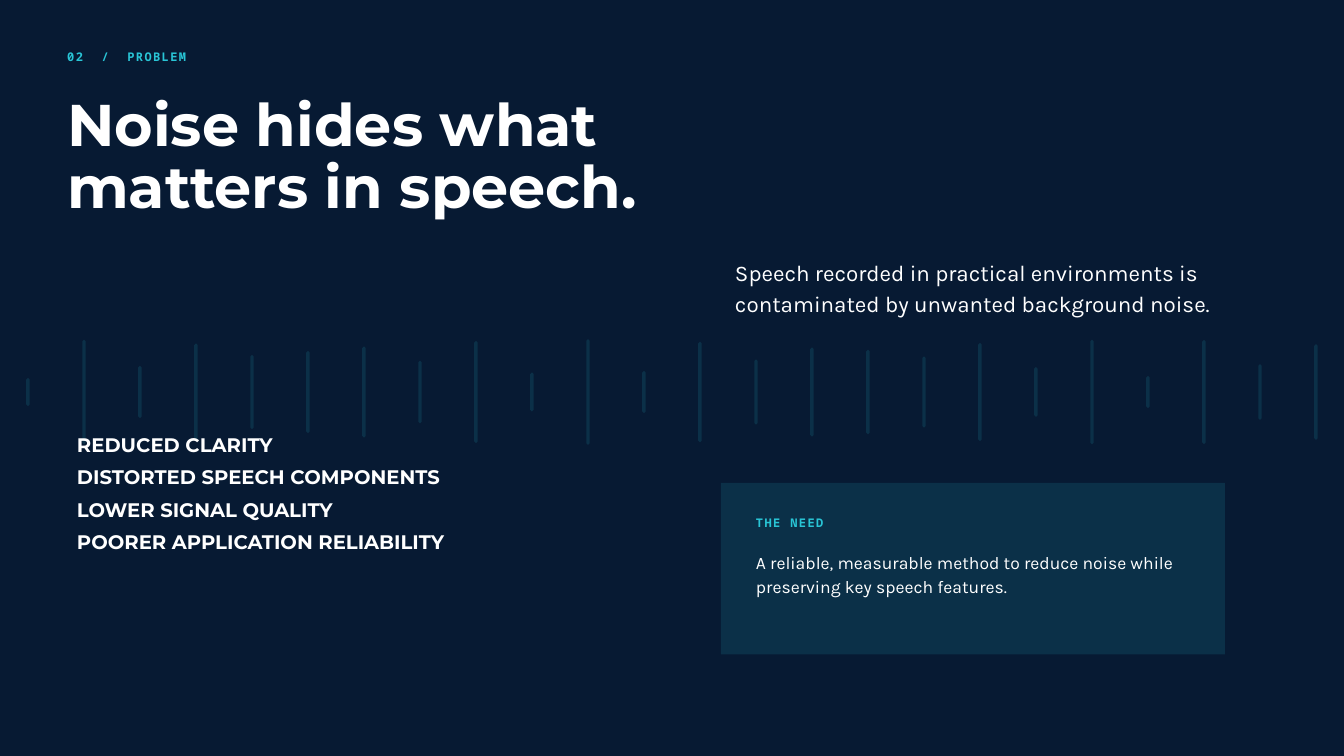
from lxml.etree import SubElement
from pptx import Presentation
from pptx.dml.color import RGBColor
from pptx.enum.shapes import MSO_CONNECTOR as Conn, MSO_SHAPE as Shape
from pptx.enum.text import MSO_AUTO_SIZE as AutoSize
from pptx.oxml.ns import qn
from pptx.util import Inches, Pt

NAVY = RGBColor(0x07, 0x1A, 0x33)
CYAN = RGBColor(0x29, 0xC5, 0xD6)
WHITE = RGBColor(0xFF, 0xFF, 0xFF)

WIDTH, HEIGHT = 20, 11.25
COLUMNS = 48  # square cells, so the slide is 27 rows high

LABEL = dict(name="Noto Sans Mono", size=12.8, bold=True, color=CYAN, leading=17.8, tracking=1.5)
TITLE = dict(name="Montserrat", size=63, bold=True, color=WHITE, leading=66.2)
LEAD = dict(name="Karla", size=24, bold=False, color=WHITE, leading=33.1)
EFFECTS = dict(name="Montserrat", size=21, bold=True, color=WHITE, leading=34.6)
BODY = dict(name="Karla", size=18.8, bold=False, color=WHITE, leading=25.9)

WAVE_ROW = 14
WAVE_HEIGHTS = [
    0.89, 3.62, 1.75, 3.34, 2.52, 2.81, 3.14, 2.11, 3.53, 1.27, 3.65, 1.39,
    3.48, 2.21, 3.07, 2.9, 2.42, 3.38, 1.66, 3.62, 1.03, 3.6, 1.87, 3.29,
]


def cells(*counts):
    """Turn numbers of grid cells into lengths."""
    return [Inches(n * WIDTH / COLUMNS) for n in counts]


def set_alpha(element, percent):
    """Make the solid colour inside a fill or line element see-through."""
    color = next(element.iter(qn("a:srgbClr")))
    SubElement(color, qn("a:alpha"), val=str(percent * 1000))


class Deck:
    def __init__(self):
        self.prs = Presentation()
        self.prs.slide_width, self.prs.slide_height = Inches(WIDTH), Inches(HEIGHT)
        self.slide = None

    def new_slide(self, color):
        self.slide = self.prs.slides.add_slide(self.prs.slide_layouts[6])
        fill = self.slide.background.fill
        fill.solid()
        fill.fore_color.rgb = color

    def bar(self, col, middle, height):
        """Draw a faint upright line centred on a row."""
        ends = cells(col, middle - height / 2, col, middle + height / 2)
        line = self.slide.shapes.add_connector(Conn.STRAIGHT, *ends)
        line.line.color.rgb = CYAN
        line.line.width = Pt(3.75)
        sp_pr = line._element.spPr
        ln = sp_pr.find(qn("a:ln"))
        ln.set("cap", "rnd")
        set_alpha(ln, 12)
        SubElement(sp_pr, qn("a:effectLst"))

    def panel(self, *box):
        sp = self.slide.shapes.add_shape(Shape.RECTANGLE, *cells(*box))
        sp.shadow.inherit = False
        sp.fill.solid()
        sp.fill.fore_color.rgb = CYAN
        set_alpha(sp._element.spPr.find(qn("a:solidFill")), 13)
        sp.line.fill.background()

    def text(self, box, style, *lines):
        tf = self.slide.shapes.add_textbox(*cells(*box)).text_frame
        frame = dict(margin_left=0, margin_top=0, margin_right=0, margin_bottom=0,
                     word_wrap=True, auto_size=AutoSize.SHAPE_TO_FIT_TEXT)
        for key, value in frame.items():
            setattr(tf, key, value)
        for i, line in enumerate(lines):
            p = tf.add_paragraph() if i else tf.paragraphs[0]
            p.line_spacing = Pt(style["leading"])
            r = p.add_run()
            r.text = line
            font = dict(name=style["name"], size=Pt(style["size"]), bold=style["bold"])
            for key, value in font.items():
                setattr(r.font, key, value)
            r.font.color.rgb = style["color"]
            if "tracking" in style:
                r._r.get_or_add_rPr().set("spc", str(int(style["tracking"] * 100)))


def main():
    deck = Deck()
    deck.new_slide(NAVY)

    for i, height in enumerate(WAVE_HEIGHTS):
        deck.bar(2 * i + 1, WAVE_ROW, height)
    deck.panel(25.75, 17.25, 18, 6.12)

    deck.text((2.4, 1.7, 12.5, 0.55), LABEL, "02  /  PROBLEM")
    deck.text((2.4, 3.45, 22.5, 4.5), TITLE, "Noise hides what", "matters in speech.")
    deck.text((26.25, 9.12, 17.5, 2.18), LEAD,
              "Speech recorded in practical environments is contaminated by "
              "unwanted background noise.")
    deck.text((2.75, 15.15, 20, 4.5), EFFECTS,
              "REDUCED CLARITY", "DISTORTED SPEECH COMPONENTS",
              "LOWER SIGNAL QUALITY", "POORER APPLICATION RELIABILITY")
    deck.text((27, 18.35, 7.5, 0.55), LABEL, "THE NEED")
    deck.text((27, 19.6, 15.25, 1.62), BODY,
              "A reliable, measurable method to reduce noise while preserving "
              "key speech features.")

    deck.prs.save("out.pptx")


if __name__ == "__main__":
    main()
